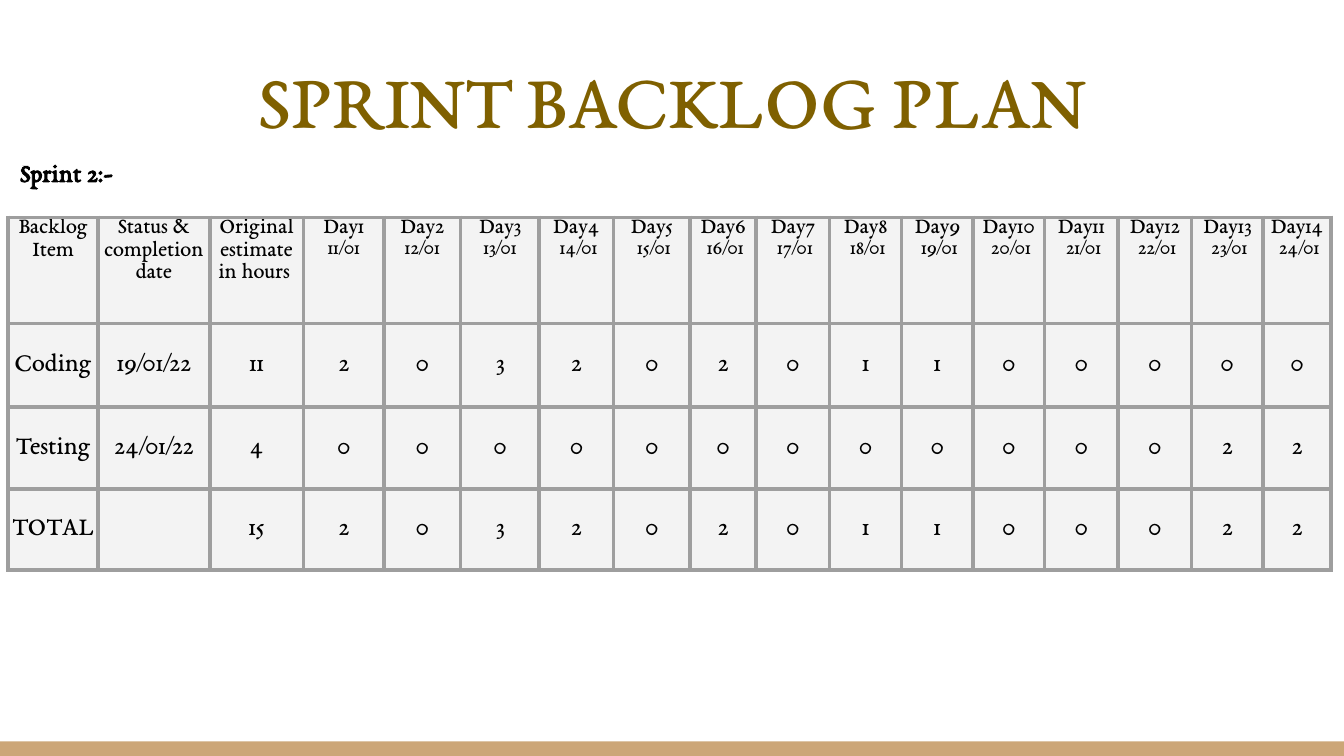
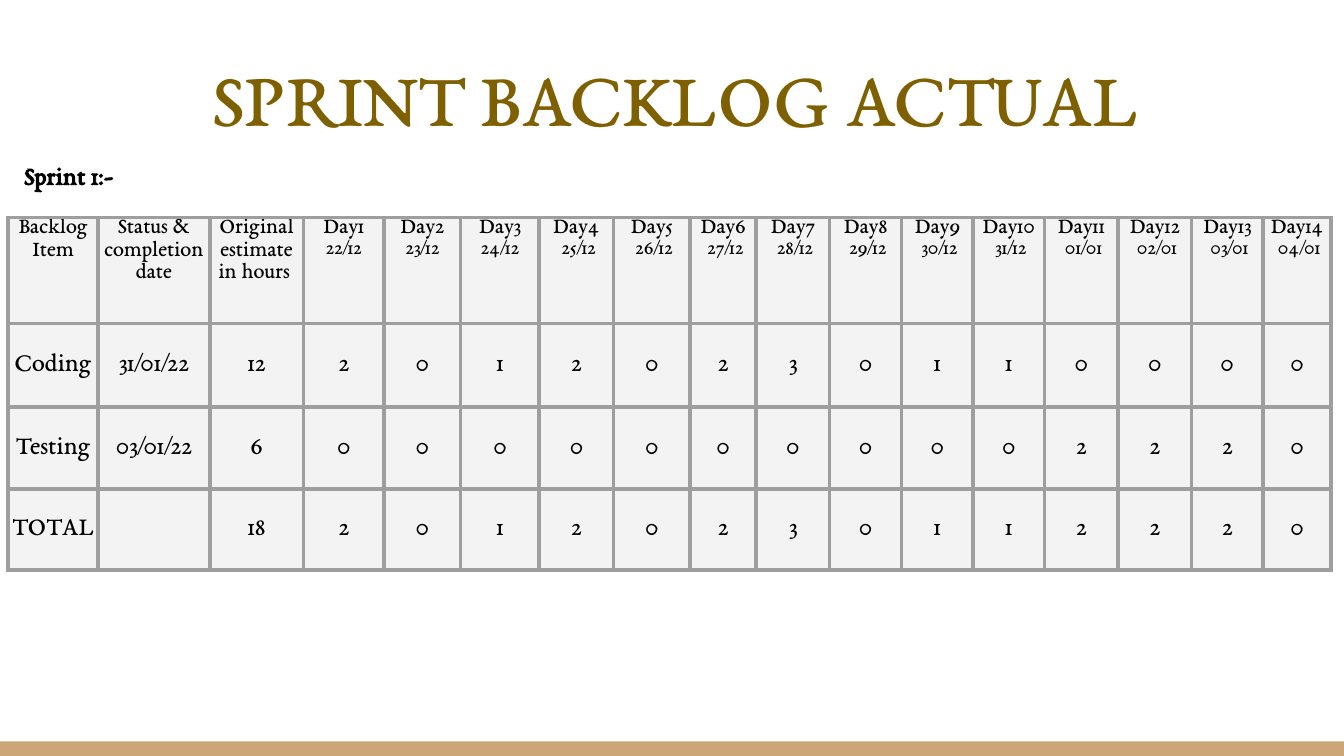
"""Build the sprint backlog plan and actual slides."""
from lxml import etree
from pptx import Presentation
from pptx.dml.color import RGBColor
from pptx.enum.shapes import MSO_SHAPE
from pptx.enum.text import MSO_ANCHOR, MSO_AUTO_SIZE, PP_ALIGN
from pptx.oxml.ns import qn
from pptx.util import Pt

RECT = MSO_SHAPE.RECTANGLE
TOP, MID, LOW = MSO_ANCHOR.TOP, MSO_ANCHOR.MIDDLE, MSO_ANCHOR.BOTTOM
LEFT, CENTER = PP_ALIGN.LEFT, PP_ALIGN.CENTER
FIXED = MSO_AUTO_SIZE.NONE

HUES = {"band": "CCA677", "title": "7F6000", "text": "000000",
        "cell": "F3F3F3", "rule": "9E9E9E"}
FONT = "EB Garamond"
WIDE, HIGH = 720, 405
INSET = 7.2
RULE = 2.25
TABLE = (4.4, 116.5)
COLS = [48.2, 59.8, 50.2, 43.2, 41, 42.2, 39.8, 41, 35.4, 39.4,
        38.6, 38.2, 38.4, 39.4, 39.4, 38.2, 36.7]
ROWS = [56.9, 44.8, 43.9, 43.2]
HEADS = ["Backlog Item", "Status & completion date", "Original estimate in hours "]
DAYS = 14

SPRINTS = [
    {"title": "SPRINT BACKLOG PLAN", "box": (24.5, 18.7, 671, 65.5),
     "label": "Sprint 2:-", "spot": (3.6, 76.3, 113, 31.7), "start": (11, 1),
     "tasks": [("Coding", "19/01/22", 11, [2, 0, 3, 2, 0, 2, 0, 1, 1, 0, 0, 0, 0, 0]),
               ("Testing", "24/01/22", 4, [0] * 12 + [2, 2])]},
    {"title": "SPRINT BACKLOG ACTUAL", "box": (0, 18, 723.6, 65.5),
     "label": "Sprint 1:-", "spot": (5.8, 77.8, 236, 31.7), "start": (22, 12),
     "tasks": [("Coding", "31/01/22", 12, [2, 0, 1, 2, 0, 2, 3, 0, 1, 1, 0, 0, 0, 0]),
               ("Testing", "03/01/22", 6, [0] * 10 + [2, 2, 2, 0])]},
]


def style(item, values):
    """Set each attribute of an item from a dict."""
    for name, value in values.items():
        setattr(item, name, value)


def paint(fill, hue):
    """Give a fill one solid colour."""
    fill.solid()
    fill.fore_color.rgb = RGBColor.from_string(HUES[hue])


def write(frame, lines, align=CENTER, hue="text", bold=False):
    """Write (text, size) lines into a text frame."""
    for i, (text, size) in enumerate(lines):
        para = frame.add_paragraph() if i else frame.paragraphs[0]
        para.alignment = align
        run = para.add_run()
        run.text = text
        style(run.font, {"name": FONT, "size": Pt(size), "bold": bold})
        run.font.color.rgb = RGBColor.from_string(HUES[hue])


def frame_up(shape, anchor):
    """Set the insets, wrap and anchor of a text shape."""
    style(shape.text_frame, {
        "margin_left": Pt(INSET), "margin_right": Pt(INSET),
        "margin_top": Pt(INSET), "margin_bottom": Pt(INSET),
        "word_wrap": True, "auto_size": FIXED, "vertical_anchor": anchor})


def add_band(slide):
    """Draw the band along the foot of the slide."""
    band = slide.shapes.add_shape(RECT, 0, Pt(397.2), Pt(WIDE), Pt(HIGH - 397.2))
    paint(band.fill, "band")
    band.line.fill.background()
    band.shadow.inherit = False


def add_title(slide, text, box):
    """Place and write the slide title."""
    title = slide.shapes.title
    style(title, dict(zip(("left", "top", "width", "height"), map(Pt, box))))
    frame_up(title, LOW)
    write(title.text_frame, [(text, 42)], hue="title")


def add_label(slide, text, spot):
    """Write the sprint name above the table."""
    label = slide.shapes.add_textbox(*map(Pt, spot))
    frame_up(label, TOP)
    write(label.text_frame, [(text, 14)], align=LEFT, bold=True)


def add_rules(cell):
    """Draw the four borders of a cell."""
    props = cell._tc.get_or_add_tcPr()
    for side in ("lnL", "lnR", "lnT", "lnB"):
        line = etree.SubElement(props, qn(f"a:{side}"), w=str(Pt(RULE)))
        fill = etree.SubElement(line, qn("a:solidFill"))
        etree.SubElement(fill, qn("a:srgbClr"), val=HUES["rule"])


def fill_cell(cell, lines, anchor):
    """Format one cell and write its lines."""
    add_rules(cell)
    paint(cell.fill, "cell")
    style(cell, {"margin_left": 0, "margin_right": 0, "margin_top": 0,
                 "margin_bottom": 0, "vertical_anchor": anchor})
    write(cell.text_frame, lines)


def day_heads(day, month):
    """List the day headings, with dates that run on past day 31."""
    heads = []
    for i in range(DAYS):
        over, rest = divmod(day + i - 1, 31)
        date = f"{rest + 1:02}/{(month + over - 1) % 12 + 1:02}"
        heads.append([(f"Day{i + 1}", 12), (date if i < 3 else f" {date}", 11)])
    return heads


def body_rows(tasks):
    """List the task rows and the row of their sums."""
    rows = [[name, date, hours, *days] for name, date, hours, days in tasks]
    sums = [sum(col) for col in zip(*(row[2:] for row in rows))]
    rows.append(["TOTAL", "", *sums])
    return [[[(str(value), 14)] if value != "" else [] for value in row]
            for row in rows]


def add_grid(slide, start, tasks):
    """Add the backlog table."""
    shape = slide.shapes.add_table(len(ROWS), len(COLS), *map(Pt, TABLE),
                                   Pt(sum(COLS)), Pt(sum(ROWS)))
    table = shape.table
    for col, width in zip(table.columns, COLS):
        col.width = Pt(width)
    for row, height in zip(table.rows, ROWS):
        row.height = Pt(height)
    heads = [[(text, 12)] for text in HEADS] + day_heads(*start)
    for r, row in enumerate([heads] + body_rows(tasks)):
        for c, lines in enumerate(row):
            fill_cell(table.cell(r, c), lines, MID if r else TOP)


def main():
    """Build and save the deck."""
    deck = Presentation()
    style(deck, {"slide_width": Pt(WIDE), "slide_height": Pt(HIGH)})
    for sprint in SPRINTS:
        slide = deck.slides.add_slide(deck.slide_layouts[5])
        add_band(slide)
        add_title(slide, sprint["title"], sprint["box"])
        add_grid(slide, sprint["start"], sprint["tasks"])
        add_label(slide, sprint["label"], sprint["spot"])
    deck.save("out.pptx")


if __name__ == "__main__":
    main()
